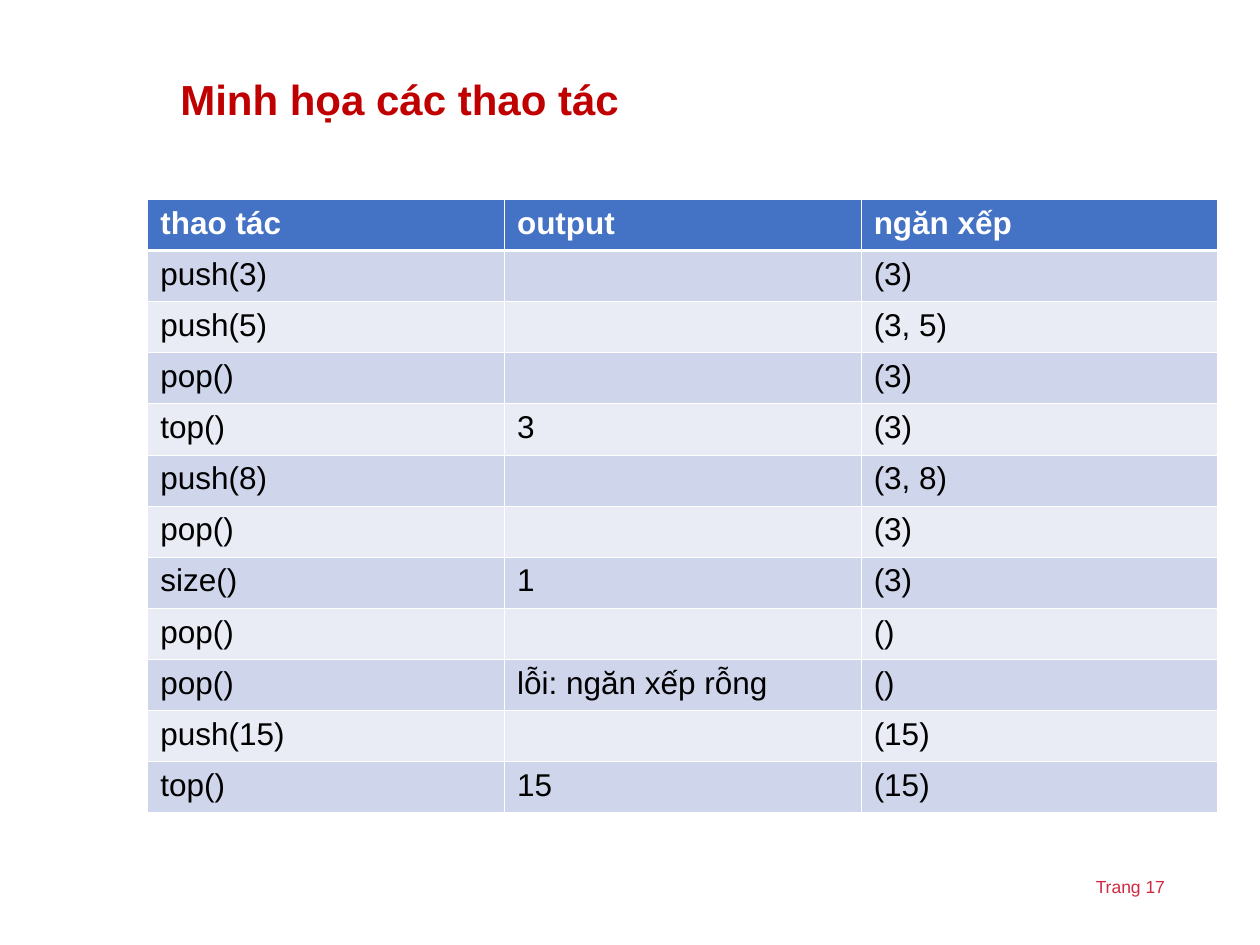
from dataclasses import dataclass

from lxml.etree import SubElement
from pptx import Presentation
from pptx.dml.color import RGBColor
from pptx.enum.text import MSO_ANCHOR as Anchor, PP_ALIGN as Align
from pptx.oxml.ns import qn
from pptx.util import Cm, Pt

WHITE, BLACK = "FFFFFF", "000000"
HEADER_FILL = "4472C4"
BAND_FILLS = ("CFD5EA", "E9EBF5")
THIN, THICK = 0.45, 1.47  # border widths in points
COL_WIDTH, ROW_HEIGHT = 7.19, 1.03  # cm


@dataclass
class Step:
    operation: str
    output: str
    stack: str


HEADER = Step("thao tác", "output", "ngăn xếp")
STEPS = [
    Step("push(3)", "", "(3)"),
    Step("push(5)", "", "(3, 5)"),
    Step("pop()", "", "(3)"),
    Step("top()", "3", "(3)"),
    Step("push(8)", "", "(3, 8)"),
    Step("pop()", "", "(3)"),
    Step("size()", "1", "(3)"),
    Step("pop()", "", "()"),
    Step("pop()", "lỗi: ngăn xếp rỗng", "()"),
    Step("push(15)", "", "(15)"),
    Step("top()", "15", "(15)"),
]


def rgb(value: str) -> RGBColor:
    return RGBColor.from_string(value)


def write(tf, text: str, size: float, color: str, bold: bool = False) -> None:
    """Put one formatted line in a text frame."""
    p = tf.paragraphs[0]
    p.alignment = Align.LEFT
    p.font.size = Pt(size)
    if not text:
        return
    r = p.add_run()
    r.text = text
    for name, value in {"name": "Arial", "size": Pt(size), "bold": bold}.items():
        setattr(r.font, name, value)
    r.font.color.rgb = rgb(color)


def place(sp, left: float, top: float, width: float, height: float) -> None:
    box = {"left": left, "top": top, "width": width, "height": height}
    for name, value in box.items():
        setattr(sp, name, Cm(value))


def set_borders(cell, top: float, bottom: float) -> None:
    """Draw white borders; side borders are always thin."""
    tc_pr = cell._tc.get_or_add_tcPr()
    for side, width in {"L": THIN, "R": THIN, "T": top, "B": bottom}.items():
        ln = SubElement(tc_pr, qn(f"a:ln{side}"), w=str(Pt(width)))
        fill = SubElement(ln, qn("a:solidFill"))
        SubElement(fill, qn("a:srgbClr"), val=WHITE)


def fill_row(table, row: int, step: Step) -> None:
    is_header = row == 0
    fill = HEADER_FILL if is_header else BAND_FILLS[(row - 1) % 2]
    table.rows[row].height = Cm(ROW_HEIGHT)
    for col, text in enumerate((step.operation, step.output, step.stack)):
        cell = table.cell(row, col)
        write(cell.text_frame, text, 18, WHITE if is_header else BLACK, is_header)
        set_borders(cell, THICK if row == 1 else THIN, THICK if is_header else THIN)
        cell.fill.solid()
        cell.fill.fore_color.rgb = rgb(fill)


def main() -> None:
    prs = Presentation()
    prs.slide_width, prs.slide_height = Cm(25.4), Cm(19.05)
    s = prs.slides.add_slide(prs.slide_layouts[5])

    # Page number
    sp = s.shapes.add_textbox(Cm(21.84), Cm(17.53), Cm(3.07), Cm(0.69))
    sp.text_frame.word_wrap = True
    write(sp.text_frame, "Trang 17", 10, "CF2941")

    # Title
    title = s.shapes.title
    place(title, 3.38, 1.02, 20.27, 2.08)
    title.text_frame.vertical_anchor = Anchor.MIDDLE
    write(title.text_frame, "Minh họa các thao tác", 24, "C00000", True)
    title.text_frame.paragraphs[0].line_spacing = 0.9

    # Stack operations table
    rows = [HEADER, *STEPS]
    frame = s.shapes.add_table(len(rows), 3, Cm(2.98), Cm(4.02),
                               Cm(3 * COL_WIDTH), Cm(len(rows) * ROW_HEIGHT))
    for column in frame.table.columns:
        column.width = Cm(COL_WIDTH)
    for row, step in enumerate(rows):
        fill_row(frame.table, row, step)

    prs.save("out.pptx")


if __name__ == "__main__":
    main()
